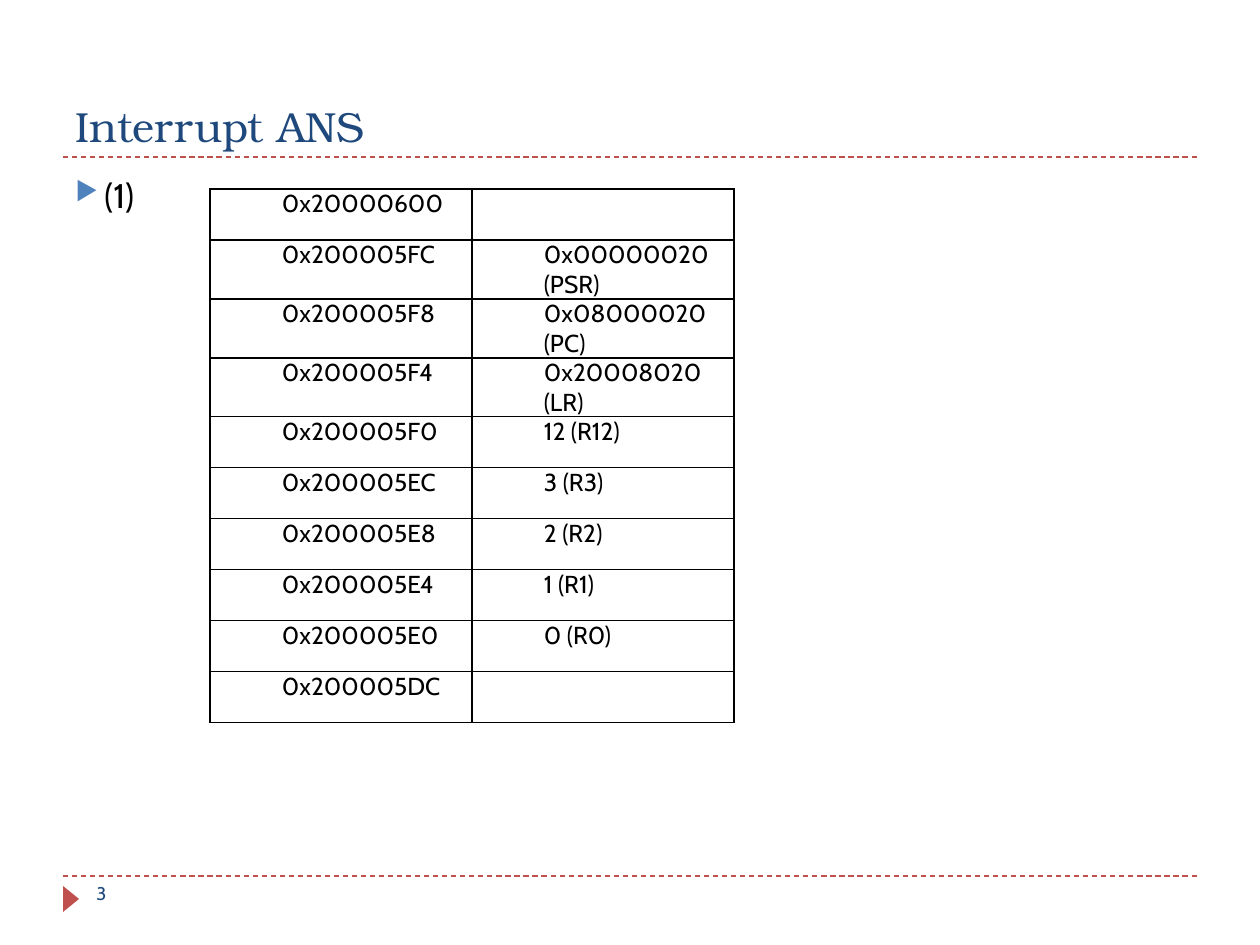
from dataclasses import dataclass

import lxml.etree
import pptx
import pptx.dml.color
import pptx.enum.dml
import pptx.enum.shapes
import pptx.enum.text
import pptx.oxml.ns
import pptx.util

PX = 914400 / 126
COLORS = {"title": "1F497D", "accent": "C0504D", "bullet": "4F81BD", "text": "000000"}
BODY_FONT = "Cabin"
TITLE_FONT = "TeX Gyre Bonum"


@dataclass
class Label:
    text: str
    left: int
    top: int
    width: int
    height: int
    size: float
    color: str
    font: str = BODY_FONT
    bottom: bool = False
    bullet: str = ""


@dataclass
class StackRow:
    address: str
    value: str = ""


LABELS = [
    Label("Interrupt ANS", 63, 21, 1134, 136, 24, "title", TITLE_FONT, bottom=True),
    Label("3", 84, 876, 273, 50, 10.5, "title"),
    Label("(1)", 63, 168, 1134, 680, 19.5, "text", bullet="▶"),
]
RULE_TOPS = [876, 157]
STACK = [
    StackRow("0x20000600"),
    StackRow("0x200005FC", "0x00000020 (PSR)"),
    StackRow("0x200005F8", "0x08000020 (PC)"),
    StackRow("0x200005F4", "0x20008020 (LR)"),
    StackRow("0x200005F0", "12 (R12)"),
    StackRow("0x200005EC", "3 (R3)"),
    StackRow("0x200005E8", "2 (R2)"),
    StackRow("0x200005E4", "1 (R1)"),
    StackRow("0x200005E0", "0 (R0)"),
    StackRow("0x200005DC"),
]


def px(n: int) -> int:
    return pptx.util.Emu(round(n * PX))


def rgb(name: str) -> pptx.dml.color.RGBColor:
    return pptx.dml.color.RGBColor.from_string(COLORS[name])


def add_xml(parent, tag: str, **attrs: str):
    return lxml.etree.SubElement(parent, pptx.oxml.ns.qn(tag), **attrs)


def add_run(p, text: str, size: float, color: str, font: str = BODY_FONT) -> None:
    r = p.add_run()
    r.text = text
    r.font.size = pptx.util.Pt(size)
    r.font.name = font
    r.font.color.rgb = rgb(color)


def add_bullet(p, char: str) -> None:
    ppr = p._p.get_or_add_pPr()
    ppr.set("marL", str(px(29)))
    ppr.set("indent", str(px(-29)))
    add_xml(add_xml(ppr, "a:buClr"), "a:srgbClr", val=COLORS["bullet"])
    add_xml(ppr, "a:buSzPct", val="76000")
    add_xml(ppr, "a:buChar", char=char)


def add_label(s, label: Label) -> None:
    sp = s.shapes.add_textbox(*map(px, (label.left, label.top, label.width, label.height)))
    tf = sp.text_frame
    tf.word_wrap = True
    if label.bottom:
        tf.vertical_anchor = pptx.enum.text.MSO_ANCHOR.BOTTOM
    p = tf.paragraphs[0]
    if label.bullet:
        add_bullet(p, label.bullet)
    add_run(p, label.text, label.size, label.color, label.font)


def add_rule(s, top: int) -> None:
    sp = s.shapes.add_connector(
        pptx.enum.shapes.MSO_CONNECTOR.STRAIGHT, px(63), px(top), px(1197), px(top))
    sp.line.color.rgb = rgb("accent")
    sp.line.width = pptx.util.Pt(0.75)
    sp.line.dash_style = pptx.enum.dml.MSO_LINE.DASH
    add_xml(sp._element.spPr, "a:effectLst")


def add_marker(s) -> None:
    sp = s.shapes.add_shape(
        pptx.enum.shapes.MSO_SHAPE.ISOSCELES_TRIANGLE, px(58), px(891), px(26), px(16))
    sp.rotation = 90
    sp.shadow.inherit = False
    sp.fill.solid()
    sp.fill.fore_color.rgb = rgb("accent")
    sp.line.fill.background()


def fill_cell(cell, text: str) -> None:
    cell.margin_left = cell.margin_right = px(9)
    cell.margin_top = cell.margin_bottom = 0
    # Borders come before the fill in the cell properties
    tcpr = cell._tc.get_or_add_tcPr()
    for side in ("L", "R", "T", "B"):
        ln = add_xml(tcpr, f"a:ln{side}", w=str(pptx.util.Pt(1)))
        add_xml(add_xml(ln, "a:solidFill"), "a:srgbClr", val=COLORS["text"])
    cell.fill.background()
    if text:
        p = cell.text_frame.paragraphs[0]
        p._p.get_or_add_pPr().set("marL", str(px(63)))
        add_run(p, text, 14, "text")


def add_stack_table(s, rows: list[StackRow]) -> None:
    col_width, row_height = 262, 51
    table = s.shapes.add_table(
        len(rows), 2, px(210), px(189), px(2 * col_width), px(row_height * len(rows))).table
    table.first_row = table.horz_banding = False
    for col in table.columns:
        col.width = px(col_width)
    for i, row in enumerate(rows):
        table.rows[i].height = px(row_height)
        fill_cell(table.cell(i, 0), row.address)
        fill_cell(table.cell(i, 1), row.value)


def main() -> None:
    prs = pptx.Presentation()
    prs.slide_width, prs.slide_height = px(1260), px(945)
    s = prs.slides.add_slide(prs.slide_layouts[6])

    # Rules and footer marker
    for top in RULE_TOPS:
        add_rule(s, top)
    add_marker(s)

    # Title, page number and body
    for label in LABELS:
        add_label(s, label)

    # Stack contents
    add_stack_table(s, STACK)
    prs.save("out.pptx")


if __name__ == "__main__":
    main()
